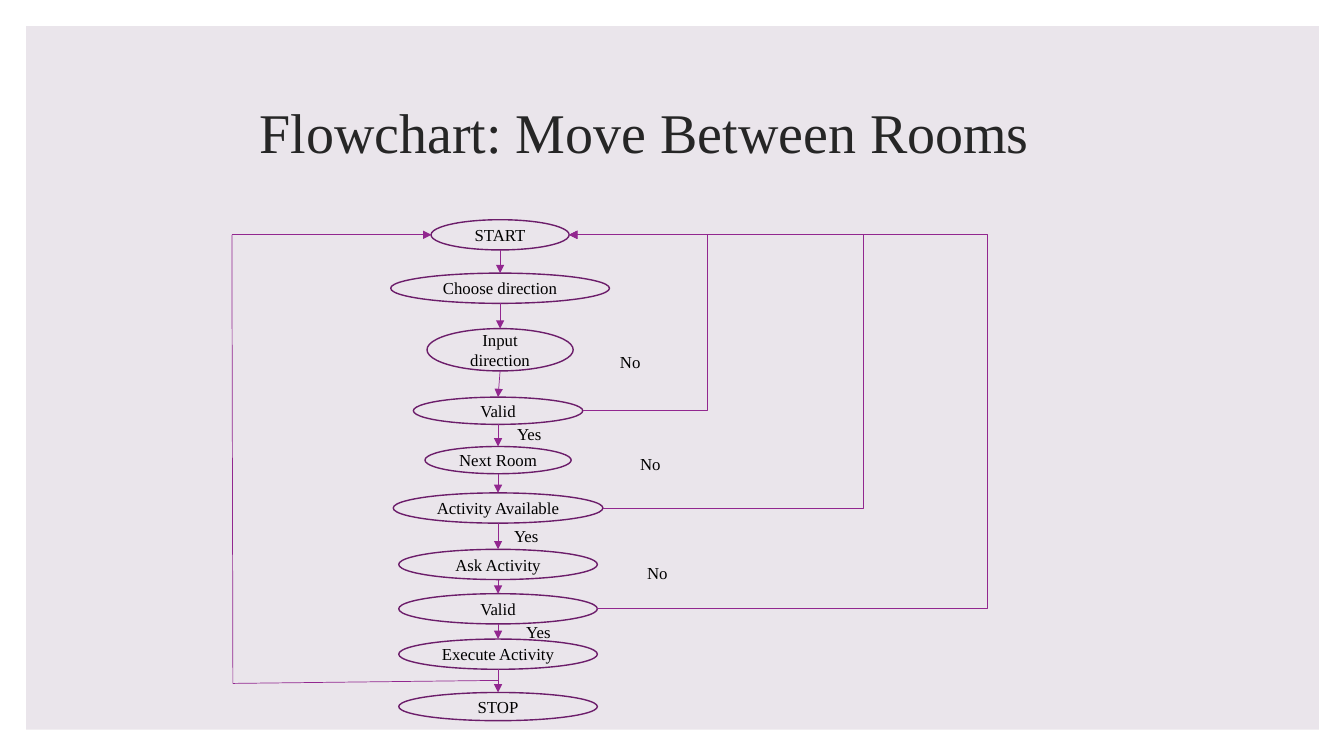
from itertools import pairwise

from lxml import etree
from pptx import Presentation
from pptx.dml.color import RGBColor
from pptx.enum.shapes import MSO_CONNECTOR as LINK, MSO_SHAPE as SHAPE
from pptx.enum.text import MSO_ANCHOR as ANCHOR, PP_ALIGN as ALIGN
from pptx.oxml.ns import qn
from pptx.util import Inches, Pt

COLORS = {"panel": "EAE5EB", "title": "262626", "text": "000000",
          "outline": "6C1D6A", "flow": "92278F"}
FONT = "Times New Roman"

# Text, centre x, top, width, height
STEPS = [
    ("START", 4.96, 2.18, 1.37, 0.3),
    ("Choose direction", 4.96, 2.71, 2.17, 0.3),
    ("Input direction", 4.96, 3.26, 1.45, 0.42),
    ("Valid", 4.94, 3.94, 1.68, 0.27),
    ("Next Room", 4.94, 4.43, 1.45, 0.27),
    ("Activity Available", 4.94, 4.89, 2.08, 0.3),
    ("Ask Activity", 4.94, 5.45, 1.97, 0.3),
    ("Valid", 4.94, 5.89, 1.97, 0.3),
    ("Execute Activity", 4.94, 6.34, 1.97, 0.3),
    ("STOP", 4.94, 6.87, 1.97, 0.28),
]
# Index of the deciding step, x of its way back to START
RETURNS = [(3, 7.02), (7, 9.79), (5, 8.56)]
ANSWERS = [
    ("No", 6.05, 3.44), ("No", 6.25, 4.45), ("No", 6.32, 5.53),
    ("Yes", 5.03, 4.15), ("Yes", 5.0, 5.17), ("Yes", 5.12, 6.12),
]


def color(name):
    return RGBColor.from_string(COLORS[name])


def write(shape, text, size=12, tone="text", align=ALIGN.CENTER, anchor=ANCHOR.MIDDLE):
    frame = shape.text_frame
    frame.word_wrap = True
    frame.vertical_anchor = anchor
    paragraph = frame.paragraphs[0]
    paragraph.text = text
    paragraph.alignment = align
    paragraph.font.name = FONT
    paragraph.font.size = Pt(size)
    paragraph.font.color.rgb = color(tone)
    return paragraph


def add_panel(slide):
    panel = slide.shapes.add_shape(
        SHAPE.RECTANGLE, Inches(0.26), Inches(0.26), Inches(12.82), Inches(6.98))
    panel.shadow.inherit = False
    panel.fill.solid()
    panel.fill.fore_color.rgb = color("panel")
    panel.line.fill.background()


def add_title(slide, text):
    title = slide.shapes.add_textbox(Inches(0.89), Inches(0.59), Inches(11), Inches(1.5))
    write(title, text, size=40, tone="title").line_spacing = 0.9


def add_step(slide, text, center, top, width, height):
    step = slide.shapes.add_shape(
        SHAPE.OVAL, Inches(center - width / 2), Inches(top), Inches(width), Inches(height))
    step.shadow.inherit = False
    step.fill.background()
    step.line.color.rgb = color("outline")
    step.line.width = Pt(1)
    write(step, text)


def add_answer(slide, text, left, top):
    answer = slide.shapes.add_textbox(Inches(left), Inches(top), Inches(0.68), Inches(0.3))
    write(answer, text, align=ALIGN.LEFT, anchor=ANCHOR.TOP)


def add_flow(slide, start, end, arrow=True, bend_x=None):
    """Draw a straight flow line, or one that turns at bend_x."""
    kind = LINK.STRAIGHT if bend_x is None else LINK.ELBOW
    flow = slide.shapes.add_connector(kind, *(Inches(v) for v in (*start, *end)))
    flow.line.color.rgb = color("flow")
    flow.line.width = Pt(0.5)
    properties = flow._element.spPr
    if arrow:
        etree.SubElement(flow.line._get_or_add_ln(), qn("a:tailEnd"), type="triangle")
    etree.SubElement(properties, qn("a:effectLst"))
    if bend_x is not None:
        ratio = (bend_x - start[0]) / (end[0] - start[0])
        guides = properties.find(qn("a:prstGeom")).get_or_add_avLst()
        etree.SubElement(guides, qn("a:gd"), name="adj1", fmla=f"val {round(ratio * 100000)}")


def right_side(step):
    _, center, top, width, height = step
    return center + width / 2, top + height / 2


def main():
    prs = Presentation()
    prs.slide_width, prs.slide_height = Inches(13.33), Inches(7.5)
    slide = prs.slides.add_slide(prs.slide_layouts[6])

    add_panel(slide)
    add_title(slide, "Flowchart: Move Between Rooms")

    # Steps and the arrows down between them
    for step in STEPS:
        add_step(slide, *step)
    for (_, x, top, _, height), (_, next_x, next_top, _, _) in pairwise(STEPS):
        add_flow(slide, (x, top + height), (next_x, next_top))

    # Ways back to START on the right
    for index, bend_x in RETURNS:
        add_flow(slide, right_side(STEPS[index]), right_side(STEPS[0]), bend_x=bend_x)

    # Loop back to START on the left
    corner, foot = (2.3, 2.33), (2.31, 6.78)
    add_flow(slide, corner, foot, arrow=False)
    add_flow(slide, foot, (4.94, 6.75), arrow=False)
    add_flow(slide, corner, (4.28, 2.33))

    for answer in ANSWERS:
        add_answer(slide, *answer)

    prs.save("out.pptx")


if __name__ == "__main__":
    main()
